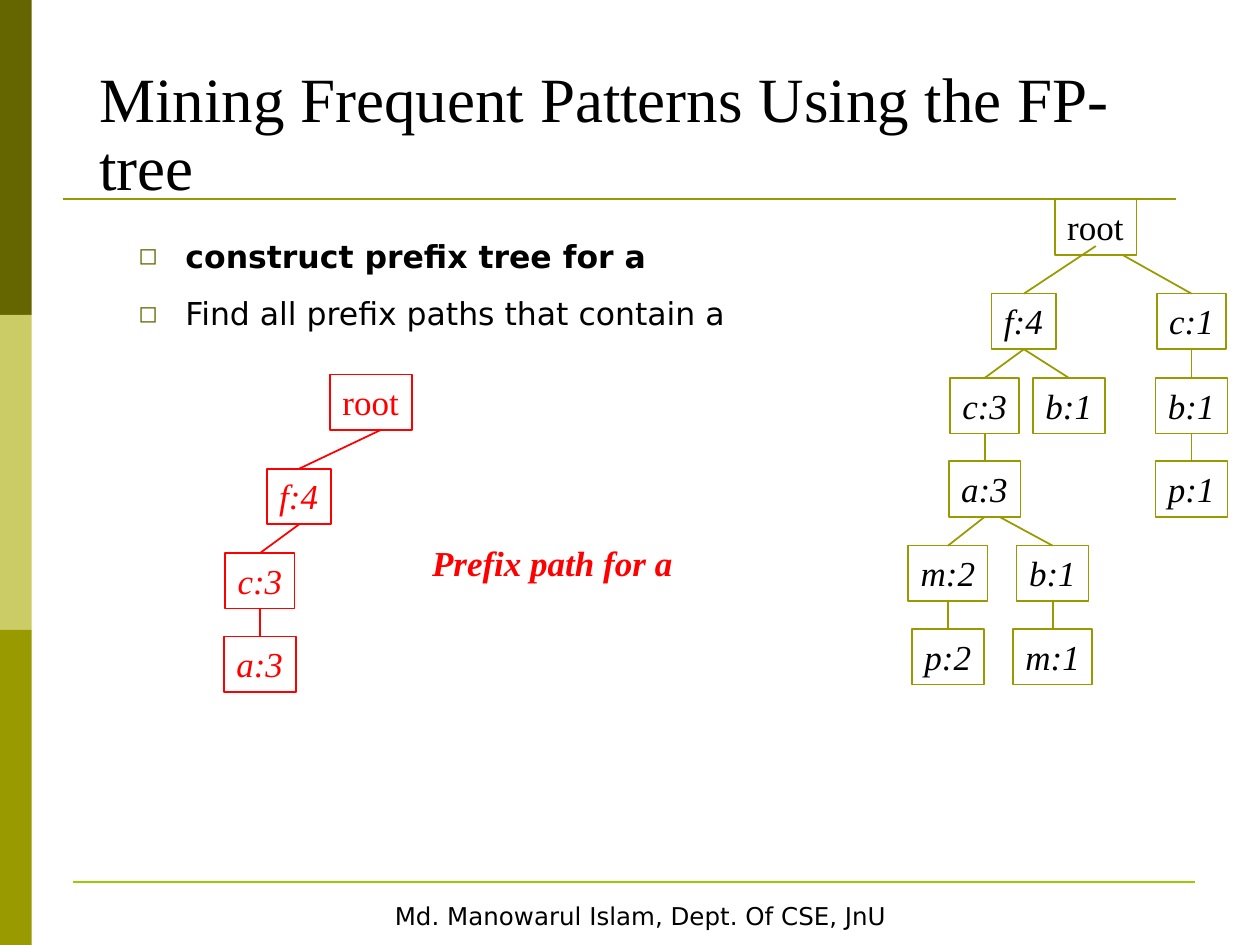
import lxml.etree
import pptx
import pptx.dml.color
import pptx.enum.shapes
import pptx.enum.text
import pptx.oxml.ns
import pptx.util

Cm = pptx.util.Cm
Pt = pptx.util.Pt
ALIGN = pptx.enum.text.PP_ALIGN
ANCHOR = pptx.enum.text.MSO_ANCHOR

SERIF = "Times New Roman"
SANS = "DejaVu Sans"
BLACK, RED, OLIVE, DARK_OLIVE = "000000", "FF0000", "999900", "666600"

NODE_HEIGHT = 1.12
LEVEL_TOPS = [0, 1.9, 3.6, 5.28, 6.98, 8.66]
NODE_WIDTHS = {"r": 1.65, "f": 1.3, "c": 1.4, "a": 1.45, "b": 1.45, "m": 1.6, "p": 1.45}

# name: label, parent, centre, level, shift of the branch start
FP_TREE = {
    "root": ("root", None, 3.78, 0, (0, 0)),
    "f": ("f:4", "root", 2.33, 1, (0, -0.18)),
    "fc": ("c:3", "f", 1.54, 2, (0, 0)),
    "fca": ("a:3", "fc", 1.54, 3, (0, 0)),
    "fcam": ("m:2", "fca", 0.8, 4, (0, 0)),
    "fcamp": ("p:2", "fcam", 0.8, 5, (0, 0)),
    "fcab": ("b:1", "fca", 2.91, 4, (0.3, 0)),
    "fcabm": ("m:1", "fcab", 2.91, 5, (0, 0)),
    "fb": ("b:1", "f", 3.24, 2, (0, 0)),
    "c": ("c:1", "root", 5.71, 1, (0.54, 0)),
    "cb": ("b:1", "c", 5.71, 2, (0, 0)),
    "cbp": ("p:1", "cb", 5.71, 3, (0, 0)),
}
PREFIX_PATH = {name: FP_TREE[name] for name in ("root", "f", "fc", "fca")}
PREFIX_PATH["f"] = ("f:4", "root", 2.33, 1, (0.19, 0))


def colour(value):
    return pptx.dml.color.RGBColor.from_string(value)


def write_text(para, text, size=20, font=SERIF, fill=BLACK, bold=False,
               italic=False, align=ALIGN.LEFT):
    para.alignment = align
    span = para.add_run()
    span.text = text
    span.font.size = Pt(size)
    span.font.name = font
    span.font.bold = bold
    span.font.italic = italic
    span.font.color.rgb = colour(fill)


def add_bullet(para, character, fill, percent):
    properties = para._p.get_or_add_pPr()
    properties.set("marL", str(Cm(0.95)))
    properties.set("indent", str(-Cm(0.95)))

    def add(parent, tag, **attributes):
        return lxml.etree.SubElement(parent, pptx.oxml.ns.qn(tag), **attributes)

    add(add(properties, "a:buClr"), "a:srgbClr", val=fill)
    add(properties, "a:buSzPct", val=str(percent * 1000))
    add(properties, "a:buFont", typeface=SANS)
    add(properties, "a:buChar", char=character)


def add_box(shapes, left, top, width, height, fill=None, line=None, weight=1):
    box = shapes.add_shape(pptx.enum.shapes.MSO_SHAPE.RECTANGLE,
                           Cm(left), Cm(top), Cm(width), Cm(height))
    box.shadow.inherit = False
    if fill:
        box.fill.solid()
        box.fill.fore_color.rgb = colour(fill)
    else:
        box.fill.background()
    if line:
        box.line.color.rgb = colour(line)
        box.line.width = Pt(weight)
    else:
        box.line.fill.background()
    box.text_frame.vertical_anchor = ANCHOR.TOP
    box.text_frame.word_wrap = False
    return box


def add_line(shapes, start, end, fill, weight=1):
    line = shapes.add_connector(pptx.enum.shapes.MSO_CONNECTOR.STRAIGHT,
                                Cm(start[0]), Cm(start[1]), Cm(end[0]), Cm(end[1]))
    line.line.color.rgb = colour(fill)
    line.line.width = Pt(weight)
    lxml.etree.SubElement(line._element.spPr, pptx.oxml.ns.qn("a:effectLst"))


def add_side_band(page, left, top, width, height):
    fills = [DARK_OLIVE, "CCCC66", OLIVE]
    part = height / len(fills)
    for index, fill in enumerate(fills):
        add_box(page.shapes, left, top + index * part, width, part, fill=fill)


def add_title(page, left, top, width, height):
    title = page.shapes.title
    title.left, title.top, title.width, title.height = map(Cm, (left, top, width, height))
    frame = title.text_frame
    frame.word_wrap = True
    frame.auto_size = pptx.enum.text.MSO_AUTO_SIZE.NONE
    frame.vertical_anchor = ANCHOR.BOTTOM
    para = frame.paragraphs[0]
    para.line_spacing = 0.9
    write_text(para, "Mining Frequent Patterns Using the FP-tree", size=36)
    add_line(page.shapes, (left - 0.48, 4.01), (left + 21.95, 4.01), OLIVE, 1.5)


def add_steps(page, left, top, width, height):
    box = page.shapes.add_textbox(Cm(left), Cm(top), Cm(width), Cm(height))
    frame = box.text_frame
    frame.word_wrap = True
    steps = [("construct prefix tree for a", True, ALIGN.LEFT),
             ("Find all prefix paths that contain a", False, ALIGN.JUSTIFY)]
    for index, (text, bold, align) in enumerate(steps):
        para = frame.add_paragraph() if index else frame.paragraphs[0]
        add_bullet(para, "◻", DARK_OLIVE, 75)
        if index:
            para.space_before = Pt(11.2)
        write_text(para, text, size=18, font=SANS, bold=bold, align=align)


def add_tree(page, nodes, left, top, line, fill):
    shapes = page.shapes.add_group_shape().shapes
    for label, parent, centre, level, (shift_x, shift_y) in nodes.values():
        x, y = left + centre, top + LEVEL_TOPS[level]
        width = NODE_WIDTHS[label[0]]
        box = add_box(shapes, x - width / 2, y, width, NODE_HEIGHT, line=line)
        write_text(box.text_frame.paragraphs[0], label, fill=fill, italic=parent is not None)
        if parent:
            parent_centre, parent_level = nodes[parent][2:4]
            start = (left + parent_centre + shift_x,
                     top + LEVEL_TOPS[parent_level] + NODE_HEIGHT + shift_y)
            add_line(shapes, start, (x, y), line)


def add_caption(page, left, top, width, height):
    box = page.shapes.add_textbox(Cm(left), Cm(top), Cm(width), Cm(height))
    box.text_frame.word_wrap = True
    write_text(box.text_frame.paragraphs[0], "Prefix path for a",
               fill=RED, bold=True, italic=True)


def add_footer(page, left, top, width, height):
    add_line(page.shapes, (left + 0.2, top - 0.25), (left + 22.81, top - 0.25), "98CC00", 1.5)
    box = add_box(page.shapes, left, top, width, height, "FFFFFF", "FFFFFF", 2)
    write_text(box.text_frame.paragraphs[0], "Md. Manowarul Islam, Dept. Of CSE, JnU",
               size=14, font=SANS, align=ALIGN.CENTER)


def main():
    deck = pptx.Presentation()
    deck.slide_width, deck.slide_height = Cm(25.4), Cm(19.05)
    page = deck.slides.add_slide(deck.slide_layouts[5])
    add_side_band(page, 0, 0, 0.64, 19.05)
    add_footer(page, 1.27, 18.03, 23.29, 0.89)
    add_title(page, 1.75, 1.27, 22.66, 2.97)
    add_steps(page, 2.54, 4.65, 21.87, 4.65)
    add_tree(page, PREFIX_PATH, 3.7, 7.55, RED, RED)
    add_caption(page, 8.46, 10.8, 10.59, 1.12)
    add_tree(page, FP_TREE, 18.31, 4.02, OLIVE, BLACK)
    deck.save("out.pptx")


if __name__ == "__main__":
    main()
